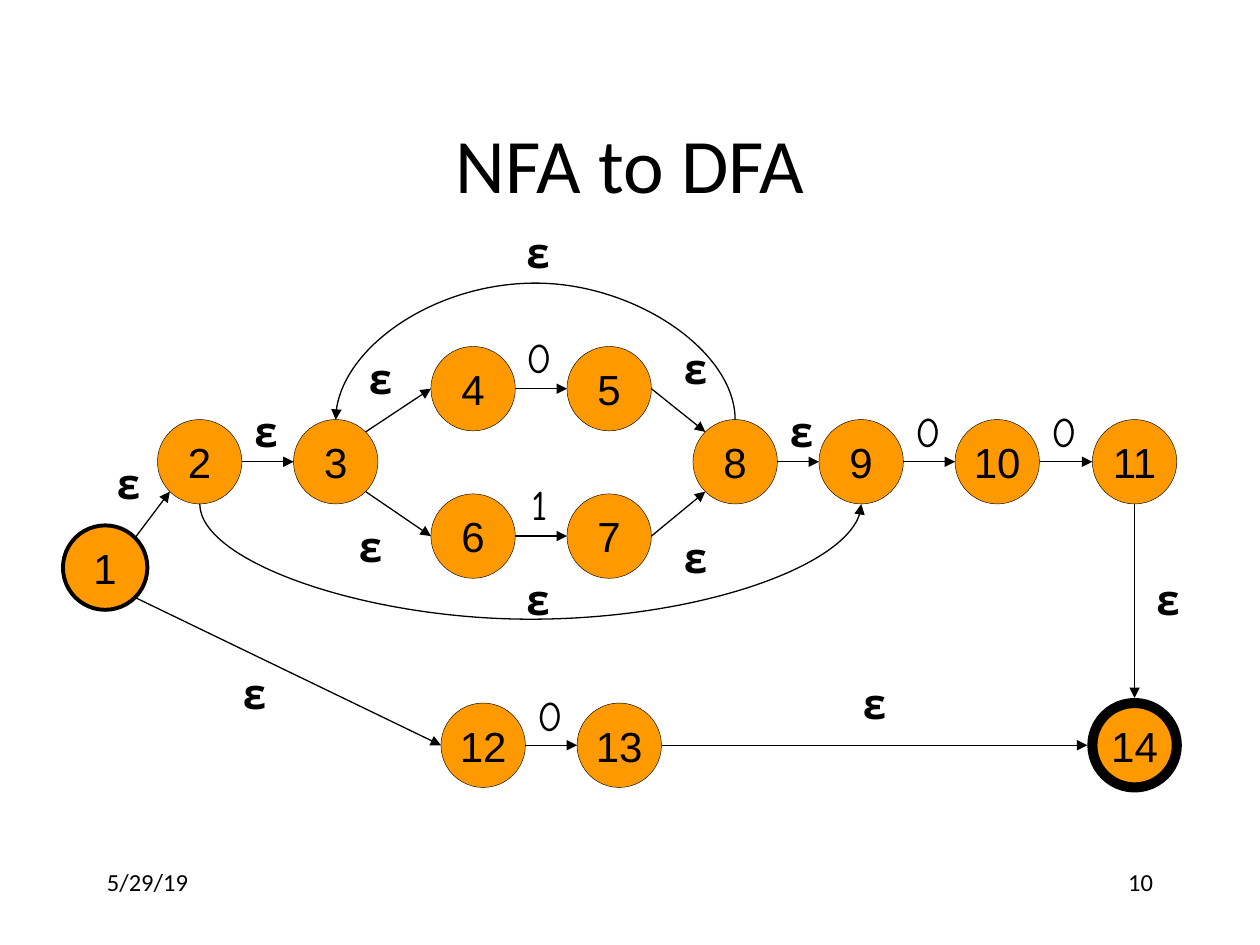
from dataclasses import dataclass
from math import sqrt

from lxml.etree import SubElement
from pptx import Presentation
from pptx.dml.color import RGBColor
from pptx.enum.shapes import MSO_CONNECTOR, MSO_SHAPE
from pptx.enum.text import MSO_ANCHOR, MSO_AUTO_SIZE, PP_ALIGN
from pptx.oxml.ns import qn
from pptx.shapes.connector import Connector
from pptx.slide import Slide
from pptx.text.text import TextFrame
from pptx.util import Inches, Pt

BLACK = RGBColor(0x00, 0x00, 0x00)
ORANGE = RGBColor(0xFF, 0x99, 0x00)

DIAMETER = 0.67
RADIUS = DIAMETER / 2
CURVE_THICKNESS = 0.002

# Directions from a state's centre to the point where an arrow meets it.
DIAGONAL = sqrt(0.5)
NORTH, SOUTH, EAST, WEST = (0, -1), (0, 1), (1, 0), (-1, 0)
NORTH_EAST, SOUTH_EAST = (DIAGONAL, -DIAGONAL), (DIAGONAL, DIAGONAL)
NORTH_WEST, SOUTH_WEST = (-DIAGONAL, -DIAGONAL), (-DIAGONAL, DIAGONAL)

Point = tuple[float, float]


@dataclass(frozen=True)
class State:
    left: float
    top: float
    border: float = 0.25
    gap: float = 0

    def rim(self, direction: Point) -> Point:
        reach = RADIUS + self.gap
        return (self.left + RADIUS + reach * direction[0],
                self.top + RADIUS + reach * direction[1])


@dataclass(frozen=True)
class Transition:
    source: int
    leaves: Point
    target: int
    enters: Point
    symbol: str
    label_left: float
    label_top: float
    bend: float = 0  # depth of a curved arrow, positive downwards


MIDDLE, UPPER, LOWER, BOTTOM = 3.33, 2.75, 3.92, 5.58

STATES = {
    1: State(0.5, 4.17, border=2.25),
    2: State(1.25, MIDDLE),
    3: State(2.33, MIDDLE),
    4: State(3.42, UPPER),
    5: State(4.5, UPPER),
    6: State(3.42, LOWER),
    7: State(4.5, LOWER),
    8: State(5.5, MIDDLE),
    9: State(6.5, MIDDLE),
    10: State(7.58, MIDDLE),
    11: State(8.67, MIDDLE),
    12: State(3.5, BOTTOM),
    13: State(4.58, BOTTOM),
    14: State(8.67, BOTTOM, border=5.75, gap=0.04),
}

TRANSITIONS = [
    Transition(1, NORTH_EAST, 2, SOUTH_WEST, "ε", 0.83, 3.58),
    Transition(1, SOUTH_EAST, 12, WEST, "ε", 1.83, 5.25),
    Transition(2, EAST, 3, WEST, "ε", 1.92, 3.17),
    Transition(2, SOUTH, 9, SOUTH, "ε", 4.08, 4.5, bend=0.93),
    Transition(3, NORTH_EAST, 4, WEST, "ε", 2.83, 2.75),
    Transition(3, SOUTH_EAST, 6, WEST, "ε", 2.75, 4.08),
    Transition(4, EAST, 5, WEST, "0", 4.08, 2.58),
    Transition(6, EAST, 7, WEST, "1", 4.11, 3.75),
    Transition(5, EAST, 8, NORTH_WEST, "ε", 5.33, 2.67),
    Transition(7, EAST, 8, SOUTH_WEST, "ε", 5.33, 4.17),
    Transition(8, NORTH, 3, NORTH, "ε", 4.08, 1.75, bend=-1.1),
    Transition(8, EAST, 9, WEST, "ε", 6.17, 3.17),
    Transition(9, EAST, 10, WEST, "0", 7.17, 3.17),
    Transition(10, EAST, 11, WEST, "0", 8.25, 3.17),
    Transition(11, SOUTH, 14, NORTH, "ε", 9.08, 4.5),
    Transition(12, EAST, 13, WEST, "0", 4.17, 5.42),
    Transition(13, EAST, 14, WEST, "ε", 6.75, 5.33),
]


def write(frame: TextFrame, text: str, font_name: str, size: float,
          align: PP_ALIGN, bold: bool = False) -> None:
    paragraph = frame.paragraphs[0]
    paragraph.text = text
    paragraph.alignment = align
    paragraph.font.name = font_name
    paragraph.font.size = Pt(size)
    paragraph.font.bold = bold
    paragraph.font.color.rgb = BLACK


def draw_title(slide: Slide, text: str) -> None:
    title = slide.shapes.title
    title.left, title.top = Inches(0.75), Inches(0.67)
    title.width, title.height = Inches(8.5), Inches(1.25)
    title.text_frame.vertical_anchor = MSO_ANCHOR.MIDDLE
    write(title.text_frame, text, "Calibri", 44, PP_ALIGN.CENTER)


def draw_footer(slide: Slide, text: str, left: float, align: PP_ALIGN) -> None:
    footer = slide.shapes.add_textbox(Inches(left), Inches(6.83), Inches(2.08), Inches(0.5))
    footer.text_frame.word_wrap = True
    write(footer.text_frame, text, "Calibri", 14, align)


def draw_state(slide: Slide, number: int, state: State) -> None:
    circle = slide.shapes.add_shape(
        MSO_SHAPE.FLOWCHART_CONNECTOR, Inches(state.left), Inches(state.top),
        Inches(DIAMETER), Inches(DIAMETER))
    circle.shadow.inherit = False
    circle.fill.solid()
    circle.fill.fore_color.rgb = ORANGE
    circle.line.color.rgb = BLACK
    circle.line.width = Pt(state.border)
    circle.text_frame.word_wrap = False
    circle.text_frame.vertical_anchor = MSO_ANCHOR.MIDDLE
    write(circle.text_frame, str(number), "Arial", 24, PP_ALIGN.CENTER)


def add_curve(slide: Slide, start: Point, end: Point, bend: float) -> Connector:
    """Add a thin upright connector and turn it by 270° so that it bows up or down."""
    center, level = (start[0] + end[0]) / 2, start[1]
    half = CURVE_THICKNESS / 2
    curve = slide.shapes.add_connector(
        MSO_CONNECTOR.CURVE,
        Inches(center + half), Inches(level + start[0] - center),
        Inches(center - half), Inches(level + end[0] - center))
    properties = curve._element.spPr
    properties.find(qn("a:xfrm")).set("rot", str(270 * 60000))
    geometry = properties.find(qn("a:prstGeom"))
    adjustments = geometry.find(qn("a:avLst"))
    if adjustments is None:
        adjustments = SubElement(geometry, qn("a:avLst"))
    amount = round(bend / CURVE_THICKNESS * 100000)
    SubElement(adjustments, qn("a:gd"), name="adj1", fmla=f"val {amount}")
    return curve


def draw_arrow(slide: Slide, transition: Transition) -> None:
    start = STATES[transition.source].rim(transition.leaves)
    end = STATES[transition.target].rim(transition.enters)
    if transition.bend:
        arrow = add_curve(slide, start, end, transition.bend)
    else:
        arrow = slide.shapes.add_connector(
            MSO_CONNECTOR.STRAIGHT, *(Inches(value) for value in start + end))
    arrow.line.color.rgb = BLACK
    arrow.line.width = Pt(0.75)
    SubElement(arrow.line._get_or_add_ln(), qn("a:tailEnd"), type="triangle")
    SubElement(arrow._element.spPr, qn("a:effectLst"))


def draw_label(slide: Slide, transition: Transition) -> None:
    width = 0.4 if transition.symbol == "0" else 0.35
    label = slide.shapes.add_textbox(
        Inches(transition.label_left), Inches(transition.label_top),
        Inches(width), Inches(0.5))
    label.text_frame.word_wrap = False
    label.text_frame.auto_size = MSO_AUTO_SIZE.SHAPE_TO_FIT_TEXT
    write(label.text_frame, transition.symbol, "Comic Neue", 24, PP_ALIGN.CENTER,
          bold=transition.symbol == "ε")


def main() -> None:
    presentation = Presentation()
    presentation.slide_width, presentation.slide_height = Inches(10), Inches(7.5)
    slide = presentation.slides.add_slide(presentation.slide_layouts[5])
    draw_footer(slide, "5/29/19", 0.75, PP_ALIGN.LEFT)
    draw_footer(slide, "10", 7.17, PP_ALIGN.RIGHT)
    draw_title(slide, "NFA to DFA")
    for number, state in STATES.items():
        draw_state(slide, number, state)
    for transition in TRANSITIONS:
        draw_arrow(slide, transition)
        draw_label(slide, transition)
    presentation.save("out.pptx")


if __name__ == "__main__":
    main()
